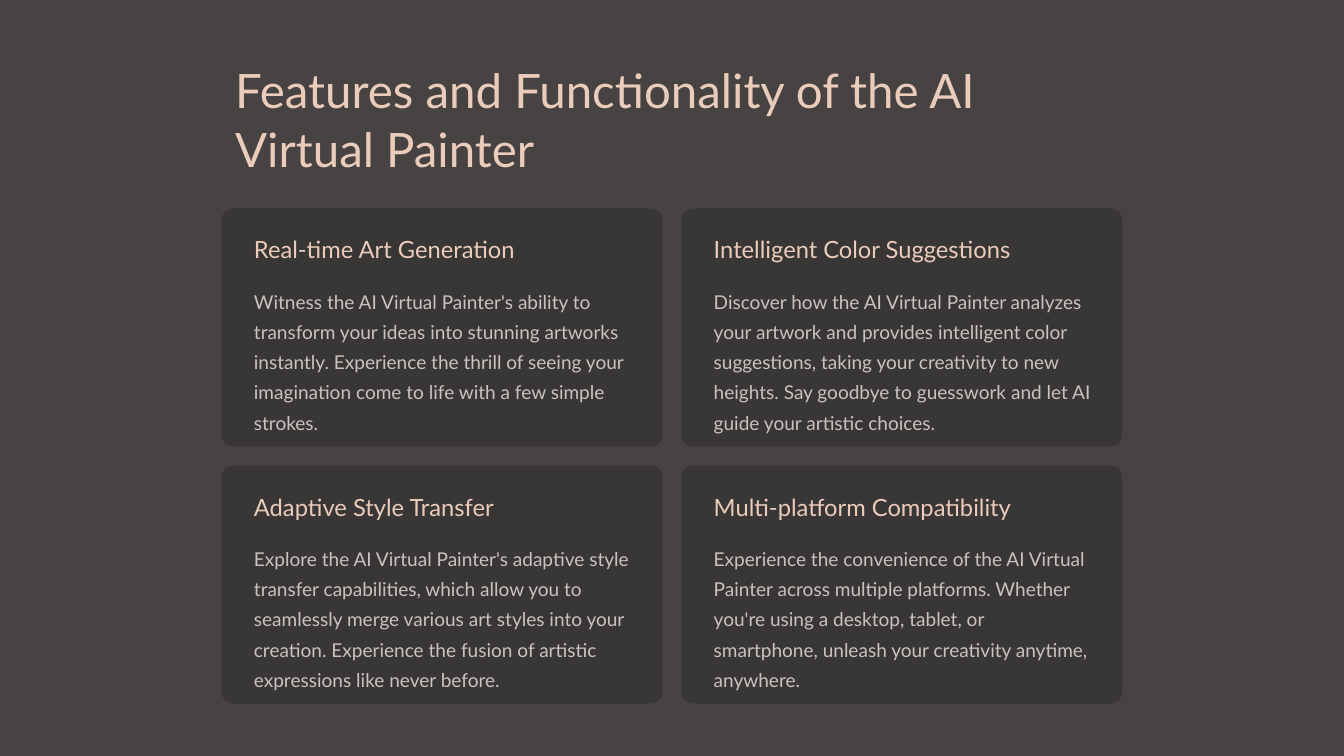
from dataclasses import dataclass

from pptx import Presentation
from pptx.dml.color import RGBColor
from pptx.enum.shapes import MSO_SHAPE
from pptx.enum.text import MSO_ANCHOR, MSO_AUTO_SIZE, PP_ALIGN
from pptx.util import Cm, Pt

ROUNDED = MSO_SHAPE.ROUNDED_RECTANGLE
TOP = MSO_ANCHOR.TOP
NO_AUTOFIT = MSO_AUTO_SIZE.NONE
LEFT = PP_ALIGN.LEFT


@dataclass(frozen=True)
class TextStyle:
    size: float
    line_spacing: float
    color: RGBColor


@dataclass(frozen=True)
class Theme:
    font = "Lato"
    background = RGBColor(0x46, 0x43, 0x42)
    card = RGBColor(0x39, 0x36, 0x36)
    accent = RGBColor(0xEB, 0xCC, 0xBB)
    muted = RGBColor(0xC9, 0xC2, 0xC0)
    title = TextStyle(25.4, 31.7, accent)
    heading = TextStyle(12.7, 15.9, accent)
    description = TextStyle(10.2, 16.2, muted)


THEME = Theme()

TITLE = "Features and Functionality of the AI Virtual Painter"
FEATURES = [
    ("Real-time Art Generation",
     "Witness the AI Virtual Painter's ability to transform your ideas into "
     "stunning artworks instantly. Experience the thrill of seeing your "
     "imagination come to life with a few simple strokes."),
    ("Intelligent Color Suggestions",
     "Discover how the AI Virtual Painter analyzes your artwork and provides "
     "intelligent color suggestions, taking your creativity to new heights. "
     "Say goodbye to guesswork and let AI guide your artistic choices."),
    ("Adaptive Style Transfer",
     "Explore the AI Virtual Painter's adaptive style transfer capabilities, "
     "which allow you to seamlessly merge various art styles into your "
     "creation. Experience the fusion of artistic expressions like never before."),
    ("Multi-platform Compatibility",
     "Experience the convenience of the AI Virtual Painter across multiple "
     "platforms. Whether you're using a desktop, tablet, or smartphone, "
     "unleash your creativity anytime, anywhere."),
]

COLUMNS = 2
GRID_LEFT, GRID_TOP = Cm(4.19), Cm(3.94)
CARD_WIDTH, CARD_HEIGHT = Cm(8.33), Cm(4.5)
GAP = Cm(0.36)
PADDING = Cm(0.36)
TEXT_WIDTH = Cm(7.62)


def write(frame, text, style):
    frame.word_wrap = True
    frame.auto_size = NO_AUTOFIT
    frame.vertical_anchor = TOP
    frame.text = text
    paragraph = frame.paragraphs[0]
    paragraph.alignment = LEFT
    paragraph.line_spacing = Pt(style.line_spacing)
    paragraph.font.name = THEME.font
    paragraph.font.size = Pt(style.size)
    paragraph.font.color.rgb = style.color


def set_title(slide, text):
    title = slide.shapes.title
    title.left, title.top = GRID_LEFT, Cm(0.99)
    title.width, title.height = Cm(17.02), Cm(2.24)
    write(title.text_frame, text, THEME.title)


def add_text(slide, left, top, height, text, style):
    box = slide.shapes.add_textbox(left, top, TEXT_WIDTH, height)
    write(box.text_frame, text, style)


def add_feature_card(slide, left, top, heading, description):
    card = slide.shapes.add_shape(ROUNDED, left, top, CARD_WIDTH, CARD_HEIGHT)
    card.adjustments[0] = 0.05
    card.shadow.inherit = False
    card.fill.solid()
    card.fill.fore_color.rgb = THEME.card
    card.line.fill.background()

    text_left = left + PADDING
    add_text(slide, text_left, top + PADDING, Cm(0.56), heading, THEME.heading)
    add_text(slide, text_left, top + Cm(1.28), Cm(2.87), description,
             THEME.description)


def main():
    presentation = Presentation()
    presentation.slide_width, presentation.slide_height = Cm(25.4), Cm(14.29)
    title_only = presentation.slide_layouts[5]
    slide = presentation.slides.add_slide(title_only)
    slide.background.fill.solid()
    slide.background.fill.fore_color.rgb = THEME.background

    set_title(slide, TITLE)
    for index, (heading, description) in enumerate(FEATURES):
        row, column = divmod(index, COLUMNS)
        left = GRID_LEFT + column * (CARD_WIDTH + GAP)
        top = GRID_TOP + row * (CARD_HEIGHT + GAP)
        add_feature_card(slide, left, top, heading, description)

    presentation.save("out.pptx")


if __name__ == "__main__":
    main()
